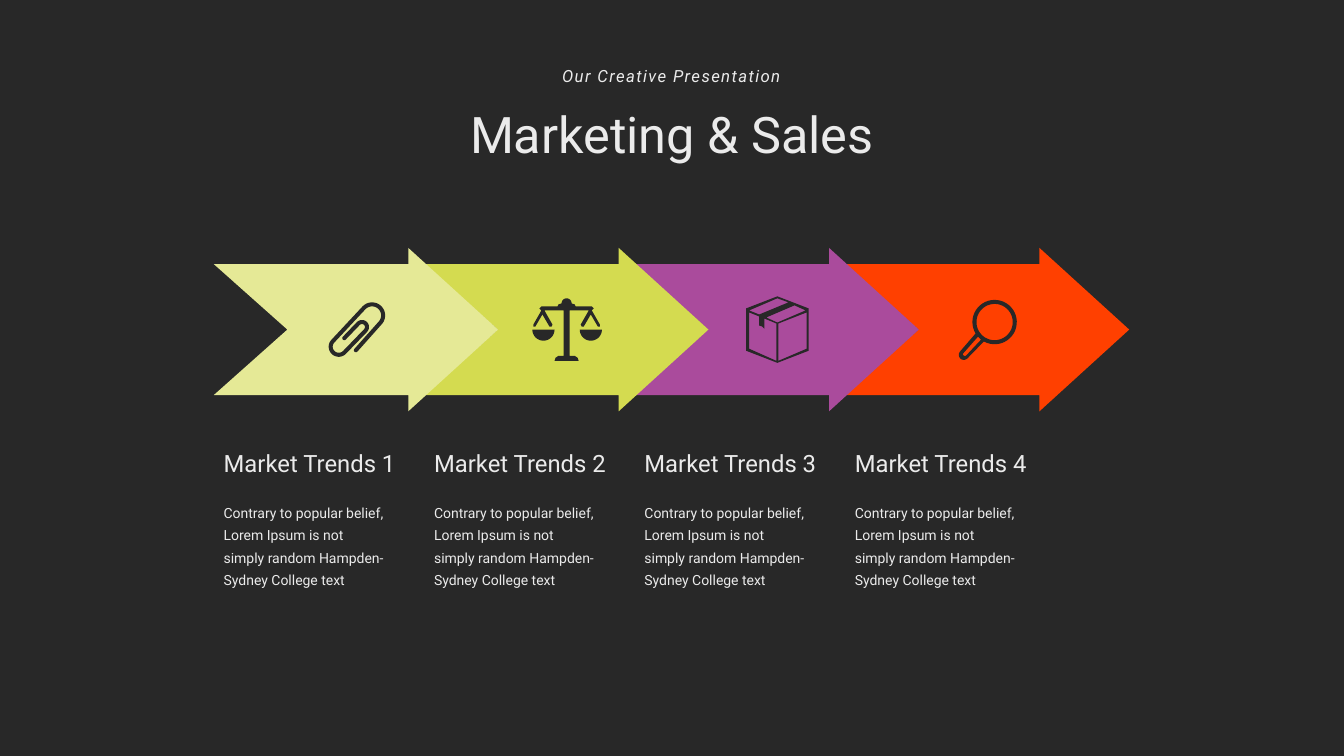
import math
from dataclasses import dataclass

import pptx
import pptx.dml.color
import pptx.enum.text
import pptx.util

Inches = pptx.util.Inches
Point = tuple[float, float]
Contour = list[Point]


@dataclass(frozen=True)
class Theme:
    background: str = "282828"
    text: str = "EBEBEB"
    pale: str = "E5E996"
    lime: str = "D4DB50"
    purple: str = "AA4B9C"
    orange: str = "FF4000"
    font: str = "Roboto"
    title_size: int = 36
    subtitle_size: int = 12
    heading_size: int = 17
    body_size: int = 10
    body_leading: int = 16


@dataclass(frozen=True)
class Trend:
    heading: str
    color: str
    icon: list[list[Contour]]


THEME = Theme()
FIRST_LEFT = 2.12
COLUMN_PITCH = 6.26 / 3
BODY = "Contrary to popular belief, Lorem Ipsum is not simply random Hampden-Sydney College text"
ARROW = [
    (1.93, 2.46), (2.82, 3.27), (1.93, 4.08), (1.93, 3.92),
    (0, 3.92), (0.73, 3.27), (0, 2.62), (1.93, 2.62),
]


def arc(x: float, y: float, radius: float, start: float, end: float) -> Contour:
    steps = max(8, round(abs(end - start) / 8))
    angles = [math.radians(start + (end - start) * step / steps) for step in range(steps + 1)]
    return [(x + radius * math.cos(angle), y + radius * math.sin(angle)) for angle in angles]


def paperclip() -> list[list[Contour]]:
    lower, upper, inner = (3.36, 3.44), (3.69, 3.13), (3.59, 3.245)
    return [[
        arc(*lower, 0.1, 45, 225)
        + arc(*upper, 0.13, 225, 405)
        + arc(3.53, 3.475, 0.02, 45, 225)
        + arc(*upper, 0.09, 405, 225)
        + arc(*lower, 0.06, 225, 45)
        + arc(*inner, 0.03, 45, -135)
        + arc(3.415, 3.355, 0.02, 45, 225)
        + arc(*inner, 0.07, 225, 405)
    ]]


def scales() -> list[list[Contour]]:
    center = 5.62
    right_half = arc(center, 3.01, 0.05, -90, 0) + [
        (5.7, 3.02), (5.71, 3.04), (5.87, 3.04), (5.89, 3.06), (5.87, 3.08),
        (5.95, 3.22), (5.95, 3.24), (5.93, 3.24), (5.86, 3.12), (5.79, 3.24),
        (5.77, 3.24), (5.76, 3.22), (5.84, 3.08), (5.65, 3.08), (5.65, 3.53),
        (5.7, 3.53), (5.73, 3.55), (5.74, 3.58),
    ]
    left_half = [(2 * center - x, y) for x, y in reversed(right_half)]
    bowls = [[arc(x, 3.27, 0.11, 0, 180)] for x in (5.39, 5.86)]
    return [[right_half + left_half], *bowls]


def box() -> list[list[Contour]]:
    return [[
        [(7.71, 2.94), (8.02, 3.06), (8.02, 3.48), (7.71, 3.6), (7.4, 3.48), (7.4, 3.06)],
        [(7.71, 2.96), (7.82, 3), (7.53, 3.12), (7.43, 3.08)],
        [
            (7.7, 3.58), (7.43, 3.46), (7.43, 3.1), (7.53, 3.14), (7.53, 3.23),
            (7.56, 3.24), (7.58, 3.26), (7.58, 3.16), (7.7, 3.21),
        ],
        [(7.71, 3.2), (7.6, 3.15), (7.88, 3.03), (7.99, 3.08)],
        [(8, 3.46), (7.72, 3.58), (7.72, 3.21), (8, 3.1)],
    ]]


def magnifier() -> list[list[Contour]]:
    lens = (9.865, 3.195)
    return [[
        arc(*lens, 0.22, 149, 479) + arc(9.56, 3.52, 0.05, 45, 225),
        arc(*lens, 0.18, 0, 360),
        [(9.7, 3.34), (9.73, 3.37), (9.58, 3.53), (9.56, 3.53), (9.55, 3.52), (9.55, 3.51)],
    ]]


def draw_outline(slide: pptx.slide.Slide, contours: list[Contour], color: str) -> None:
    scaled = [[(Inches(x), Inches(y)) for x, y in contour] for contour in contours]
    builder = slide.shapes.build_freeform(*scaled[0][0])
    builder.add_line_segments(scaled[0][1:], close=True)
    for contour in scaled[1:]:
        builder.move_to(*contour[0])
        builder.add_line_segments(contour[1:], close=True)
    shape = builder.convert_to_shape()
    shape.shadow.inherit = False
    shape.fill.solid()
    shape.fill.fore_color.rgb = pptx.dml.color.RGBColor.from_string(color)
    shape.line.fill.background()


def add_text(
    slide: pptx.slide.Slide,
    text: str,
    *,
    left: float,
    top: float,
    width: float,
    height: float,
    size: int,
    centered: bool = False,
    italic: bool = False,
    leading: int | None = None,
    tracking: int = 0,
) -> None:
    shape = slide.shapes.add_textbox(Inches(left), Inches(top), Inches(width), Inches(height))
    frame = shape.text_frame
    frame.word_wrap = True
    frame.auto_size = pptx.enum.text.MSO_AUTO_SIZE.SHAPE_TO_FIT_TEXT
    paragraph = frame.paragraphs[0]
    alignment = pptx.enum.text.PP_ALIGN
    paragraph.alignment = alignment.CENTER if centered else alignment.LEFT
    if leading:
        paragraph.line_spacing = pptx.util.Pt(leading)
    run = paragraph.add_run()
    run.text = text
    run.font.name = THEME.font
    run.font.size = pptx.util.Pt(size)
    run.font.italic = italic
    run.font.color.rgb = pptx.dml.color.RGBColor.from_string(THEME.text)
    if tracking:
        run._r.get_or_add_rPr().set("spc", str(tracking * 100))


def draw_trend(slide: pptx.slide.Slide, trend: Trend, left: float) -> None:
    draw_outline(slide, [[(left + x, y) for x, y in ARROW]], trend.color)
    for contours in trend.icon:
        draw_outline(slide, contours, THEME.background)
    add_text(slide, trend.heading, left=left, top=4.4, width=1.91, height=0.39,
             size=THEME.heading_size)
    add_text(slide, BODY, left=left, top=4.9, width=1.81, height=0.97,
             size=THEME.body_size, leading=THEME.body_leading)


def main() -> None:
    presentation = pptx.Presentation()
    presentation.slide_width = Inches(13.33)
    presentation.slide_height = Inches(7.5)
    slide = presentation.slides.add_slide(presentation.slide_layouts[6])
    slide.background.fill.solid()
    slide.background.fill.fore_color.rgb = pptx.dml.color.RGBColor.from_string(THEME.background)

    add_text(slide, "Our Creative Presentation", left=4.62, top=0.6, width=4.08, height=0.3,
             size=THEME.subtitle_size, centered=True, italic=True, tracking=1)
    add_text(slide, "Marketing & Sales", left=4.21, top=0.97, width=4.91, height=0.71,
             size=THEME.title_size, centered=True)

    trends = [
        Trend("Market Trends 1", THEME.pale, paperclip()),
        Trend("Market Trends 2", THEME.lime, scales()),
        Trend("Market Trends 3", THEME.purple, box()),
        Trend("Market Trends 4", THEME.orange, magnifier()),
    ]
    for column, trend in reversed(list(enumerate(trends))):
        draw_trend(slide, trend, FIRST_LEFT + column * COLUMN_PITCH)

    presentation.save("out.pptx")


if __name__ == "__main__":
    main()
